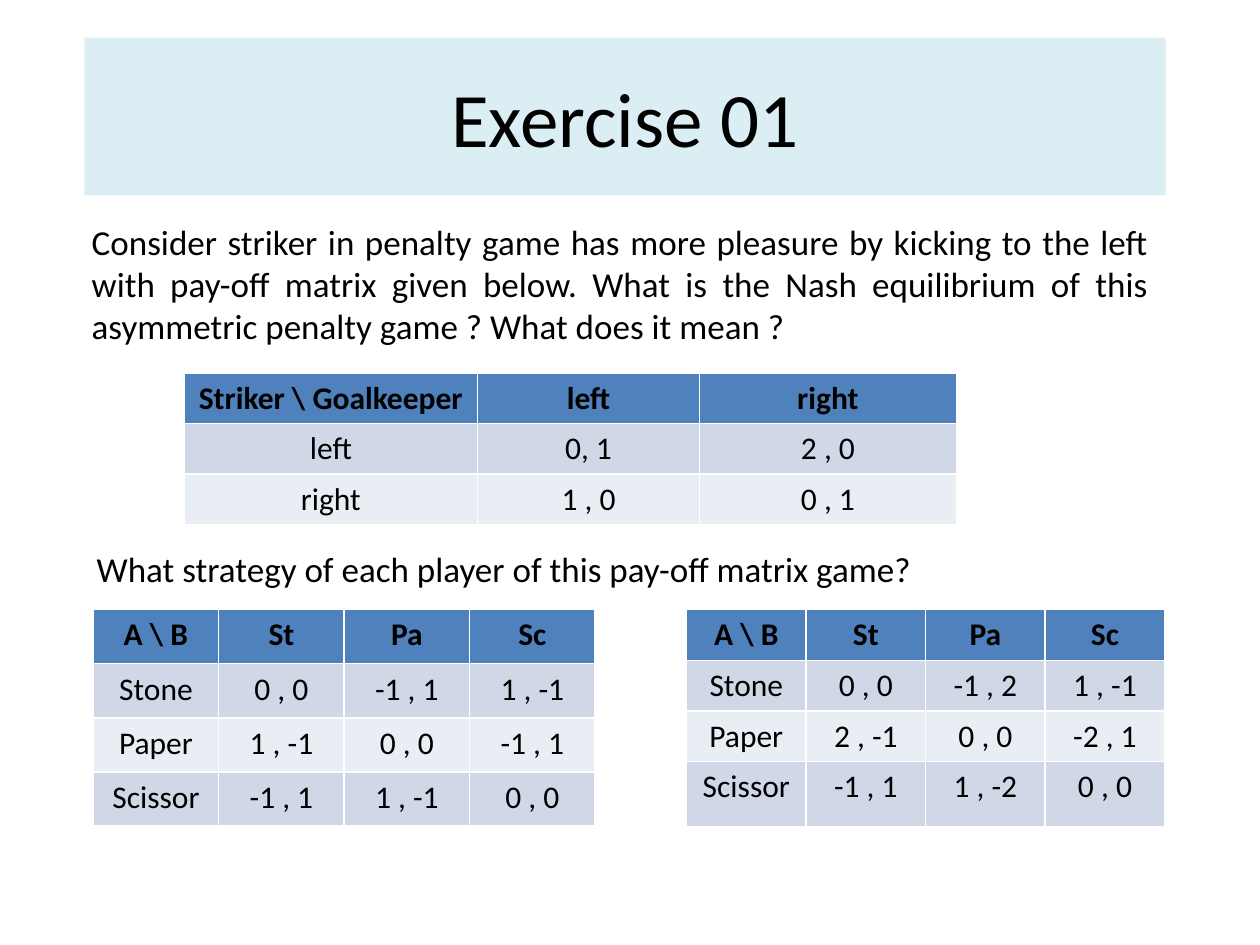
import pptx
import pptx.dml.color
import pptx.enum.text
import pptx.util

Cm = pptx.util.Cm
RGB = pptx.dml.color.RGBColor
ALIGN = pptx.enum.text.PP_ALIGN
ANCHOR = pptx.enum.text.MSO_ANCHOR

BLACK = RGB(0x00, 0x00, 0x00)
PALE = RGB(0xDB, 0xEE, 0xF4)
HEAD = RGB(0x4F, 0x81, 0xBD)
BANDS = [RGB(0xE9, 0xED, 0xF4), RGB(0xD0, 0xD8, 0xE8)]


class Deck:
    font = "Calibri"

    def __init__(self):
        self.prs = pptx.Presentation()
        self.prs.slide_width = Cm(25.4)
        self.prs.slide_height = Cm(19.05)
        self.slide = self.prs.slides.add_slide(self.prs.slide_layouts[5])

    def put(self, frame, text, size, align, bold=False):
        """Add the text to the frame's first paragraph as a styled run."""
        para = frame.paragraphs[0]
        para.alignment = align
        run = para.add_run()
        run.text = text
        run.font.name = self.font
        run.font.size = pptx.util.Pt(size)
        run.font.bold = bold
        run.font.color.rgb = BLACK

    def title(self, text, left, top, width, height):
        box = self.slide.shapes.title
        box.left, box.top = Cm(left), Cm(top)
        box.width, box.height = Cm(width), Cm(height)
        box.fill.solid()
        box.fill.fore_color.rgb = PALE
        box.text_frame.vertical_anchor = ANCHOR.MIDDLE
        self.put(box.text_frame, text, 44, ALIGN.CENTER)

    def text(self, text, left, top, width, height):
        box = self.slide.shapes.add_textbox(
            Cm(left), Cm(top), Cm(width), Cm(height))
        box.text_frame.word_wrap = True
        self.put(box.text_frame, text, 20, ALIGN.JUSTIFY)

    def table(self, data, left, top, cols, rows):
        """Draw a pay-off matrix; the default table style gives white borders."""
        grid = self.slide.shapes.add_table(
            len(rows), len(cols), Cm(left), Cm(top),
            Cm(sum(cols)), Cm(sum(rows))).table
        for col, width in zip(grid.columns, cols):
            col.width = Cm(width)
        for i, (row, height) in enumerate(zip(grid.rows, rows)):
            row.height = Cm(height)
            for cell, text in zip(row.cells, data[i]):
                cell.fill.solid()
                cell.fill.fore_color.rgb = BANDS[i % 2] if i else HEAD
                self.put(cell.text_frame, text, 18, ALIGN.CENTER, i == 0)


def main():
    deck = Deck()
    deck.title("Exercise 01", 1.7, 0.76, 21.8, 3.18)
    deck.text(
        "Consider striker in penalty game has more pleasure by kicking to "
        "the left with pay-off matrix given below. What is the Nash "
        "equilibrium of this asymmetric penalty game ? What does it mean ?",
        1.6, 4.32, 21.8, 2.82)
    deck.table([
        ["Striker \\ Goalkeeper", "left", "right"],
        ["left", "0, 1", "2 , 0"],
        ["right", "1 , 0", "0 , 1"],
    ], 3.71, 7.52, [5.92, 4.47, 5.18], [1.02] * 3)
    deck.text("What strategy of each player of this pay-off matrix game?",
              1.7, 10.92, 21.8, 1.11)

    names = ["A \\ B", "St", "Pa", "Sc"]
    deck.table([
        names,
        ["Stone", "0 , 0", "-1 , 1", "1 , -1"],
        ["Paper", "1 , -1", "0 , 0", "-1 , 1"],
        ["Scissor", "-1 , 1", "1 , -1", "0 , 0"],
    ], 1.88, 12.29, [2.53] * 4, [1.09] * 4)
    deck.table([
        names,
        ["Stone", "0 , 0", "-1 , 2", "1 , -1"],
        ["Paper", "2 , -1", "0 , 0", "-2 , 1"],
        ["Scissor", "-1 , 1", "1 , -2", "0 , 0"],
    ], 13.84, 12.29, [2.41] * 4, [1.02] * 3 + [1.31])
    deck.prs.save("out.pptx")


if __name__ == "__main__":
    main()
